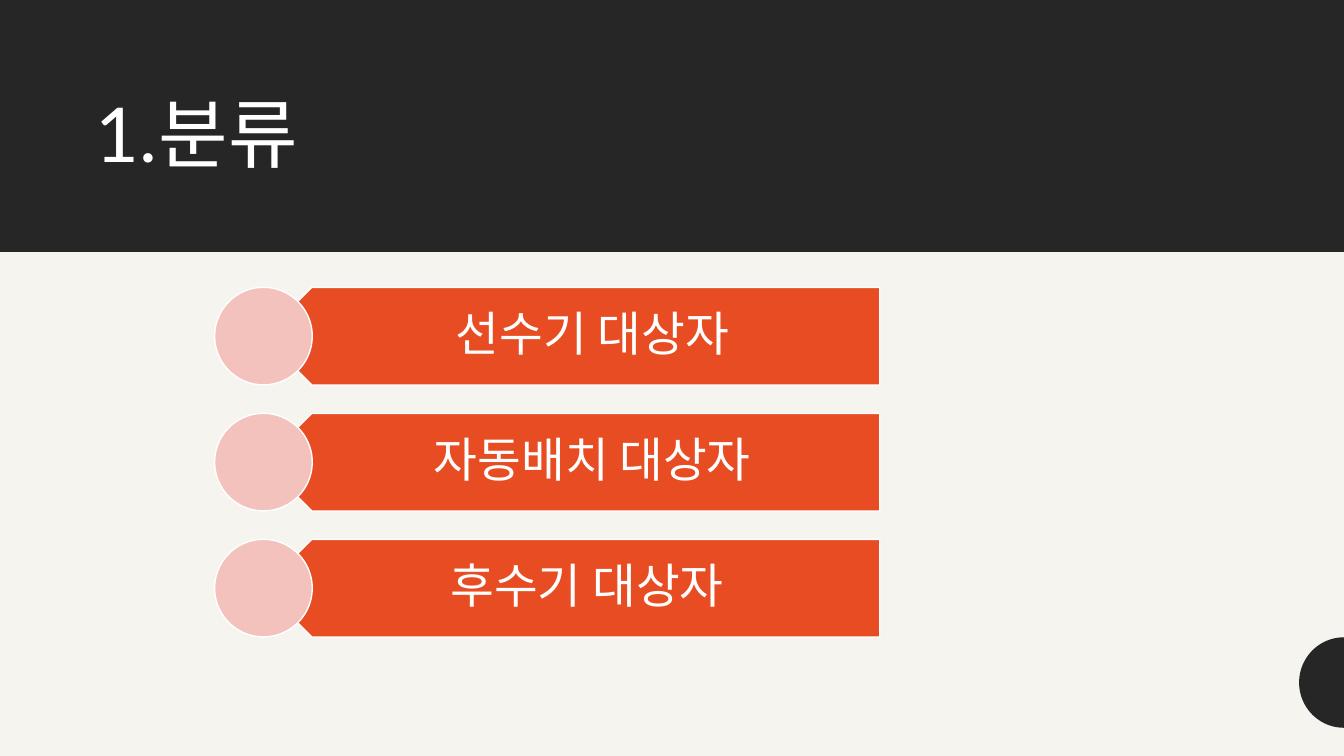
from dataclasses import dataclass
from math import cos, pi, sin

from pptx import Presentation
from pptx.dml.color import RGBColor
from pptx.enum.shapes import MSO_SHAPE as Preset
from pptx.enum.text import MSO_ANCHOR as Anchor, MSO_AUTO_SIZE as AutoSize, PP_ALIGN as Align
from pptx.util import Cm, Pt


@dataclass(frozen=True)
class Theme:
    font: str = "Lato"
    paper: str = "F5F4EE"
    dark: str = "262626"
    accent: str = "E84C22"
    soft: str = "F4C2BD"
    light: str = "FFFFFF"
    title_size: float = 54
    label_size: float = 34


def write_text(frame, text, *, font, size, color, align=Align.LEFT,
               line_spacing=1.0, tracking=0, insets=(0, 0, 0, 0)):
    """Fill a text frame with one paragraph; insets run left, top, right, bottom in cm."""
    frame.word_wrap = True
    frame.auto_size = AutoSize.NONE
    frame.vertical_anchor = Anchor.MIDDLE
    (frame.margin_left, frame.margin_top,
     frame.margin_right, frame.margin_bottom) = map(Cm, insets)
    para = frame.paragraphs[0]
    para.alignment = align
    para.line_spacing = line_spacing
    span = para.add_run()
    span.text = text
    span.font.name = font
    span.font.size = Pt(size)
    span.font.color.rgb = RGBColor.from_string(color)
    if tracking:
        span.font._element.set("spc", str(round(tracking * 100)))


class PageBuilder:
    def __init__(self, deck, theme):
        self.theme = theme
        self.page = deck.slides.add_slide(deck.slide_layouts[5])
        self.shapes = self.page.shapes
        self.paint(self.page.background, theme.paper)

    def paint(self, target, color):
        target.fill.solid()
        target.fill.fore_color.rgb = RGBColor.from_string(color)

    def finish(self, shape, color, outline=None):
        shape.shadow.inherit = False
        self.paint(shape, color)
        if outline:
            shape.line.color.rgb = RGBColor.from_string(outline)
            shape.line.width = Pt(1)
        else:
            shape.line.fill.background()

    def preset(self, kind, left, top, width, height, color, outline=None, rotation=0):
        shape = self.shapes.add_shape(kind, Cm(left), Cm(top), Cm(width), Cm(height))
        shape.rotation = rotation
        self.finish(shape, color, outline)

    def title(self, text, left, top, width, height):
        box = self.shapes.title
        box.left, box.top, box.width, box.height = map(Cm, (left, top, width, height))
        write_text(box.text_frame, text, font=self.theme.font, size=self.theme.title_size,
                   color=self.theme.light, line_spacing=1.1, tracking=0.4,
                   insets=(0.3, 0.3, 0.3, 0.25))
        # The placeholder comes first in the tree; bring it in front of the band.
        self.shapes._spTree.append(box._element)

    def label(self, text, left, top, width, height):
        box = self.shapes.add_textbox(Cm(left), Cm(top), Cm(width), Cm(height))
        write_text(box.text_frame, text, font=self.theme.font, size=self.theme.label_size,
                   color=self.theme.light, align=Align.CENTER, line_spacing=0.9,
                   insets=(1.09, 0.36, 0.66, 0.36))

    def left_half_disc(self, right, middle, radius_x, radius_y, color, steps=48):
        angles = [pi / 2 + pi * step / steps for step in range(steps + 1)]
        points = [(Cm(right + radius_x * cos(angle)), Cm(middle - radius_y * sin(angle)))
                  for angle in angles]
        outline = self.shapes.build_freeform(*points[0])
        outline.add_line_segments(points[1:], close=True)
        self.finish(outline.convert_to_shape(), color)


PAGE_WIDTH, PAGE_HEIGHT = 33.87, 19.05
ROW_TOP, ROW_STEP, ROW_HEIGHT = 7.24, 3.175, 2.46
CATEGORIES = ["선수기 대상자", "자동배치 대상자", "후수기 대상자 "]


def main():
    deck = Presentation()
    deck.slide_width, deck.slide_height = Cm(PAGE_WIDTH), Cm(PAGE_HEIGHT)
    theme = Theme()
    builder = PageBuilder(deck, theme)

    builder.preset(Preset.RECTANGLE, 0, 0, PAGE_WIDTH, PAGE_HEIGHT / 3, theme.dark)
    builder.title("1.분류", 2.11, 1.04, 29.64, 4.32)

    for row, category in enumerate(CATEGORIES):
        top = ROW_TOP + row * ROW_STEP
        builder.preset(Preset.PENTAGON, 6.63, top, 15.54, ROW_HEIGHT,
                       theme.accent, theme.light, rotation=180)
        builder.label(category, 7.26, top, 14.91, ROW_HEIGHT)
        builder.preset(Preset.OVAL, 5.41, top, ROW_HEIGHT, ROW_HEIGHT,
                       theme.soft, theme.light)

    builder.left_half_disc(PAGE_WIDTH, 17.2, 1.13, 1.14, theme.dark)
    deck.save("out.pptx")


if __name__ == "__main__":
    main()
